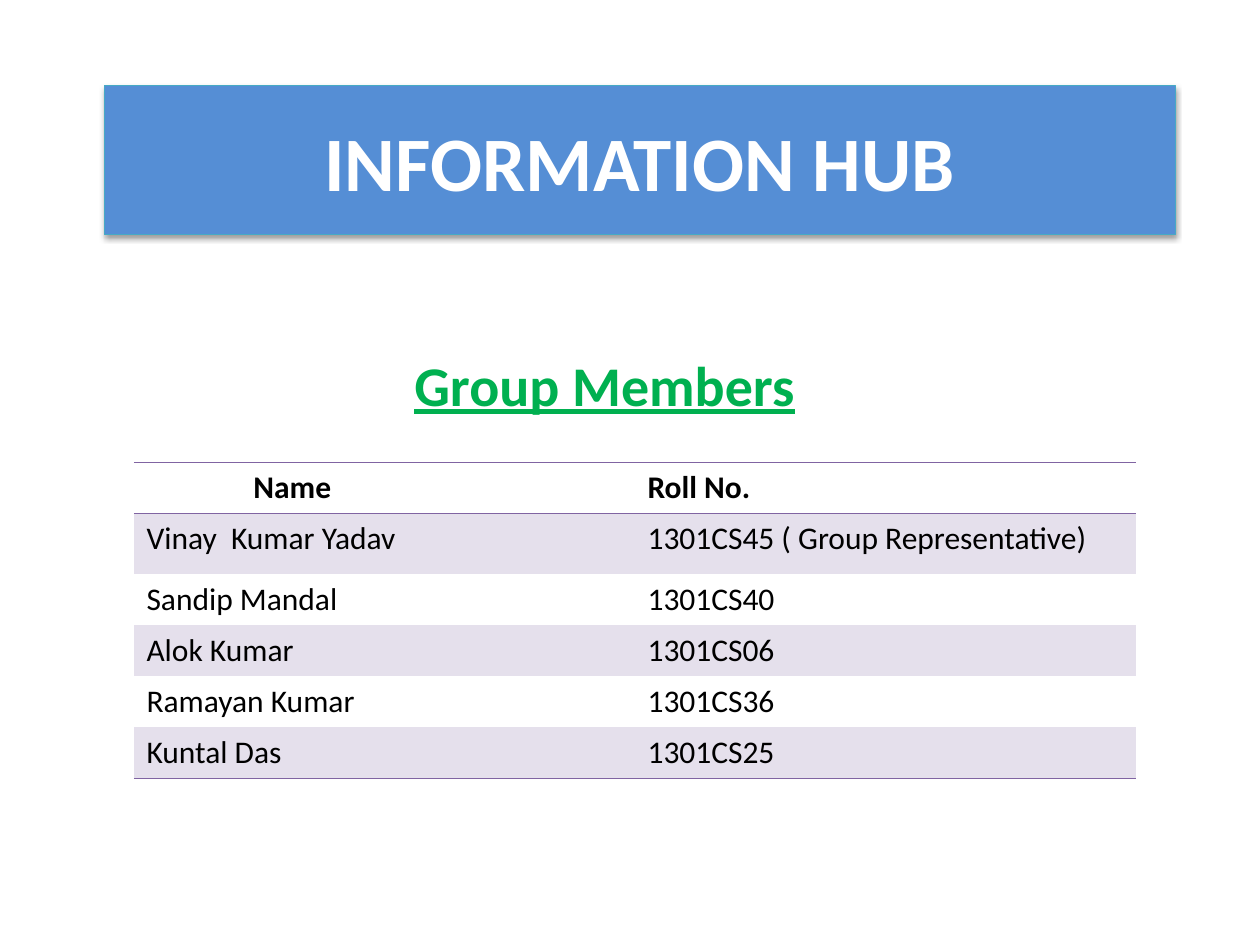
from lxml import etree
from pptx import Presentation
from pptx.dml.color import RGBColor
from pptx.enum import text
from pptx.oxml import parse_xml
from pptx.oxml.ns import nsdecls, qn
from pptx.util import Cm, Pt

TITLE = "INFORMATION HUB"
SUBTITLE = "Group Members"
MEMBERS = [
    ("Name", "Roll No."),
    ("Vinay  Kumar Yadav", "1301CS45 ( Group Representative)"),
    ("Sandip Mandal", "1301CS40"),
    ("Alok Kumar", "1301CS06"),
    ("Ramayan Kumar", "1301CS36"),
    ("Kuntal Das", "1301CS25"),
]
FONT = "Calibri"
WHITE = RGBColor(0xFF, 0xFF, 0xFF)
BLACK = RGBColor(0, 0, 0)
BLUE = RGBColor(0x55, 0x8E, 0xD5)
TEAL = RGBColor(0x46, 0xAA, 0xC5)
GREEN = RGBColor(0, 0xB0, 0x50)
PURPLE = RGBColor(0x80, 0x64, 0xA2)
LILAC = RGBColor(0xE5, 0xE0, 0xEC)
PLAIN_STYLE = "{2D5ABB26-0587-4C30-8999-92F81FD0307C}"
ROW_HEIGHT, TALL_ROW_HEIGHT = Cm(1.03), Cm(1.22)
COLUMN_WIDTH = Cm(10.1)
NAME_INDENT = Cm(2.41)


def place(shape, left, top, width, height):
    shape.left, shape.top = Cm(left), Cm(top)
    shape.width, shape.height = Cm(width), Cm(height)


def write(frame, words, size, color, bold=False, underline=None):
    frame.text = words
    font = frame.paragraphs[0].runs[0].font
    font.name, font.size, font.bold = FONT, Pt(size), bold
    font.underline = underline
    font.color.rgb = color


def add_shadow(shape):
    shape._element.spPr.append(parse_xml(
        f'<a:effectLst {nsdecls("a")}>'
        f'<a:outerShdw blurRad="{Pt(3.1)}" dist="{Pt(1.6)}" dir="5400000" rotWithShape="0">'
        '<a:srgbClr val="000000"><a:alpha val="38000"/></a:srgbClr>'
        '</a:outerShdw></a:effectLst>'))


def add_borders(cell, sides):
    for index, side in enumerate(sides):
        cell._tc.get_or_add_tcPr().insert(index, parse_xml(
            f'<a:ln{side} {nsdecls("a")} w="{Pt(1)}"><a:solidFill>'
            f'<a:srgbClr val="{PURPLE}"/></a:solidFill></a:ln{side}>'))


deck = Presentation()
deck.slide_width, deck.slide_height = Cm(25.4), Cm(19.05)
page = deck.slides.add_slide(deck.slide_layouts[0])

title = page.shapes.title
place(title, 2.1, 1.73, 21.6, 3)
title.fill.solid()
title.fill.fore_color.rgb = BLUE
title.line.color.rgb = TEAL
title.line.width = Pt(0.75)
add_shadow(title)
write(title.text_frame, TITLE, 44, WHITE, bold=True)
title.text_frame.vertical_anchor = text.MSO_ANCHOR.MIDDLE
title.text_frame.paragraphs[0].alignment = text.PP_ALIGN.CENTER

subtitle = page.placeholders[1]
place(subtitle, 3.3, 6.93, 17.78, 2.39)
write(subtitle.text_frame, SUBTITLE, 32, GREEN, bold=True, underline=True)
subtitle.text_frame.paragraphs[0].alignment = text.PP_ALIGN.CENTER

frame = page.shapes.add_table(len(MEMBERS), 2, Cm(2.7), Cm(9.32),
                              2 * COLUMN_WIDTH, len(MEMBERS) * ROW_HEIGHT)
table = frame.table
table.horz_banding = False
table._tbl.tblPr.find(qn("a:tableStyleId")).text = PLAIN_STYLE
for column in table.columns:
    column.width = COLUMN_WIDTH
last = len(MEMBERS) - 1
for row, entries in enumerate(MEMBERS):
    table.rows[row].height = TALL_ROW_HEIGHT if row == 1 else ROW_HEIGHT
    for column, words in enumerate(entries):
        cell = table.cell(row, column)
        write(cell.text_frame, words, 18, BLACK, bold=row == 0)
        if row % 2:
            cell.fill.solid()
            cell.fill.fore_color.rgb = LILAC
        else:
            cell.fill.background()
        add_borders(cell, {0: "TB", last: "B"}.get(row, ""))
table.cell(0, 0).margin_left = NAME_INDENT

deck.save("out.pptx")
